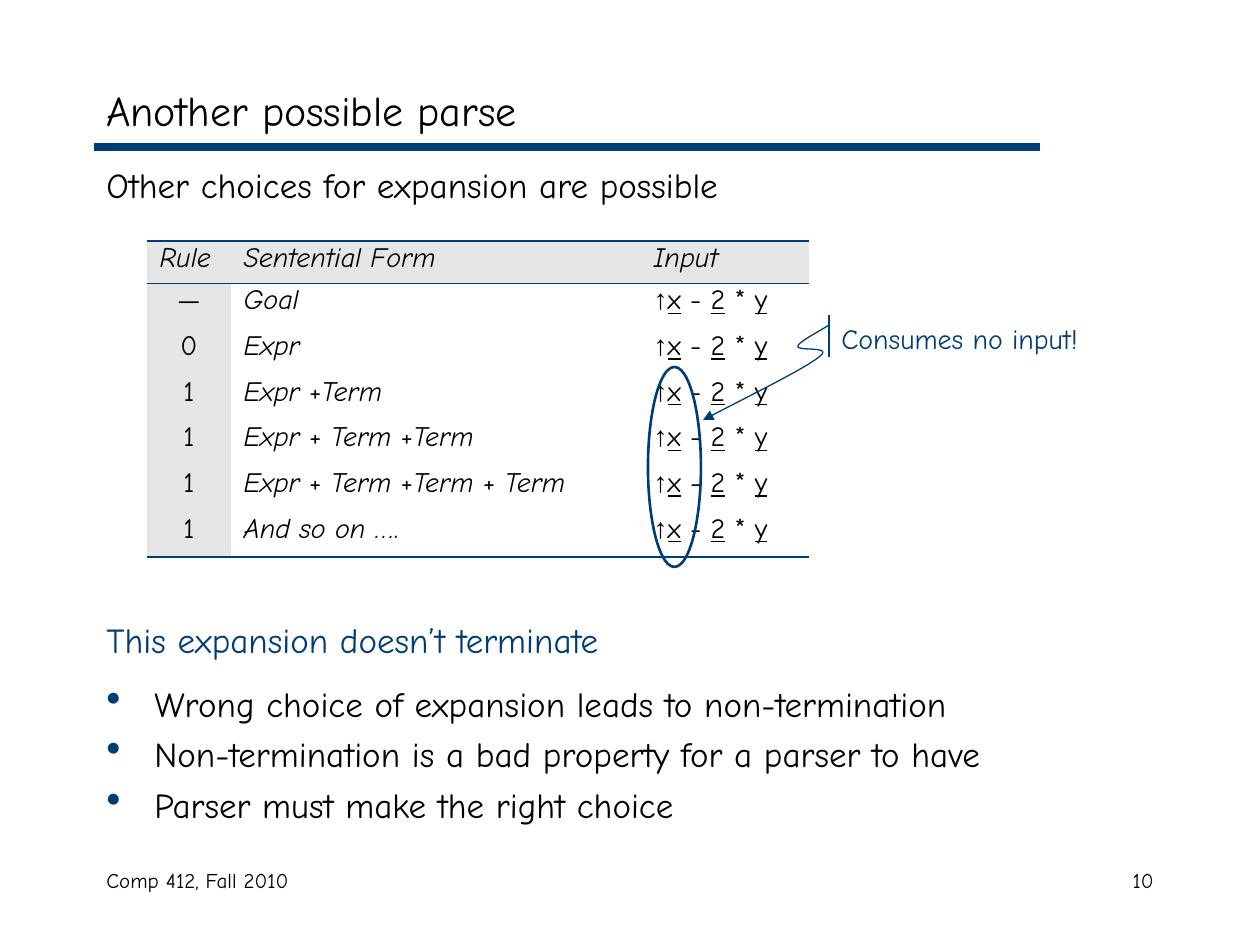
from dataclasses import dataclass
from itertools import cycle

from lxml import etree
from pptx import Presentation
from pptx.dml.color import RGBColor
from pptx.enum.shapes import MSO_CONNECTOR, MSO_SHAPE
from pptx.enum.text import MSO_ANCHOR, PP_ALIGN
from pptx.oxml.ns import qn
from pptx.util import Emu, Pt

LEFT, CENTER, RIGHT = PP_ALIGN.LEFT, PP_ALIGN.CENTER, PP_ALIGN.RIGHT
TOP, MIDDLE = MSO_ANCHOR.TOP, MSO_ANCHOR.MIDDLE
STRAIGHT, OVAL = MSO_CONNECTOR.STRAIGHT, MSO_SHAPE.OVAL
EMU_PER_PX = 914400 / 126
CURVE_STEPS = 16


@dataclass(frozen=True)
class Theme:
    font: str = "Comic Neue"
    symbol_font: str = "Arial"
    ink: str = "000000"
    accent: str = "003C75"
    shade: str = "E6E6E6"
    title: int = 24
    body: int = 20
    label: int = 16
    footer: int = 12


THEME = Theme()


def px(length):
    return Emu(round(length * EMU_PER_PX))


def add_child(parent, tag, **attributes):
    child = etree.SubElement(parent, qn(tag))
    for name, value in attributes.items():
        child.set(name, str(value))
    return child


def write(para, text, size=THEME.label, color=THEME.ink, font=THEME.font,
          italic=False, underline=False):
    span = para.add_run()
    span.text = text
    span.font.name = font
    span.font.size = Pt(size)
    span.font.color.rgb = RGBColor.from_string(color)
    span.font.italic = italic
    span.font.underline = underline


def write_alternating(para, parts, **formats):
    """Write parts, switching the named format on for every other one."""
    for part, active in zip(parts, cycle((True, False))):
        write(para, part, **{name: active for name in formats})


def add_bullet(para, hanging):
    properties = para._p.get_or_add_pPr()
    properties.set("marL", str(hanging))
    properties.set("indent", str(-hanging))
    color = add_child(properties, "a:buClr")
    add_child(color, "a:srgbClr", val=THEME.accent)
    add_child(properties, "a:buSzPct", val=120000)
    add_child(properties, "a:buChar", char="•")


def set_borders(cell, top, bottom):
    """Give the cell horizontal rules of the given point widths; 0 is none."""
    properties = cell._tc.get_or_add_tcPr()
    for side, width in (("L", 0), ("R", 0), ("T", top), ("B", bottom)):
        line = add_child(properties, f"a:ln{side}", w=Pt(width))
        if width:
            fill = add_child(line, "a:solidFill")
            add_child(fill, "a:srgbClr", val=THEME.accent)
        else:
            add_child(line, "a:noFill")


def curve_points(start, curves):
    """Sample a chain of cubic curves, each two controls and an end."""
    points = [start]
    for first, second, end in curves:
        for step in range(1, CURVE_STEPS + 1):
            t = step / CURVE_STEPS
            weights = ((1 - t) ** 3, 3 * t * (1 - t) ** 2, 3 * t * t * (1 - t), t ** 3)
            corners = (start, first, second, end)
            points.append(tuple(sum(w * c[axis] for w, c in zip(weights, corners))
                                for axis in (0, 1)))
        start = end
    return points


class SlideBuilder:
    def __init__(self, deck, theme):
        self.theme = theme
        self.slide = deck.slides.add_slide(deck.slide_layouts[6])

    def stroke(self, shape, width):
        shape.line.color.rgb = RGBColor.from_string(self.theme.accent)
        shape.line.width = Pt(width)

    def line(self, x1, y1, x2, y2, width):
        line = self.slide.shapes.add_connector(STRAIGHT, px(x1), px(y1), px(x2), px(y2))
        self.stroke(line, width)
        add_child(line._element.spPr, "a:effectLst")

    def ellipse(self, x, y, width, height, line_width):
        ellipse = self.slide.shapes.add_shape(OVAL, px(x), px(y), px(width), px(height))
        ellipse.shadow.inherit = False
        ellipse.fill.background()
        self.stroke(ellipse, line_width)

    def curved_arrow(self, start, curves, width):
        points = [(px(x), px(y)) for x, y in curve_points(start, curves)]
        outline = self.slide.shapes.build_freeform(*points[0])
        outline.add_line_segments(points[1:], close=False)
        arrow = outline.convert_to_shape()
        arrow.shadow.inherit = False
        arrow.fill.background()
        self.stroke(arrow, width)
        add_child(arrow._element.spPr.find(qn("a:ln")), "a:tailEnd", type="triangle")

    def frame(self, x, y, width, height, anchor=TOP):
        box = self.slide.shapes.add_textbox(px(x), px(y), px(width), px(height))
        box.text_frame.word_wrap = True
        box.text_frame.vertical_anchor = anchor
        return box.text_frame

    def text(self, x, y, width, height, text, anchor=TOP, align=LEFT, **formats):
        para = self.frame(x, y, width, height, anchor).paragraphs[0]
        para.alignment = align
        write(para, text, **formats)

    def body(self, x, y, width, height, entries):
        """Write entries of text, space before, colour and bullet flag."""
        frame = self.frame(x, y, width, height)
        for index, (text, space, color, bulleted) in enumerate(entries):
            para = frame.add_paragraph() if index else frame.paragraphs[0]
            if bulleted:
                add_bullet(para, px(48))
            para.space_before = Pt(space)
            write(para, text, size=self.theme.body, color=color)

    def table(self, x, y, widths, heights):
        """Add a ruled table with a shaded first row and first column."""
        table = self.slide.shapes.add_table(
            len(heights), len(widths), px(x), px(y), px(sum(widths)), px(sum(heights))).table
        table.first_row = table.horz_banding = False
        for column, width in zip(table.columns, widths):
            column.width = px(width)
        last = len(heights) - 1
        for index, height in enumerate(heights):
            table.rows[index].height = px(height)
            for column in range(len(widths)):
                cell = table.cell(index, column)
                set_borders(cell, {0: 1.08, 1: 0.45}.get(index, 0),
                            {0: 0.45, last: 1.08}.get(index, 0))
                if index == 0 or column == 0:
                    cell.fill.solid()
                    cell.fill.fore_color.rgb = RGBColor.from_string(self.theme.shade)
                else:
                    cell.fill.background()
                cell.text_frame.paragraphs[0].line_spacing = 0.8
        return table

    def parse_table(self, x, y, widths, header_height, row_height, header, steps):
        heights = [header_height] + [row_height] * len(steps)
        table = self.table(x, y, widths, heights)
        for column, text in enumerate(header):
            write(table.cell(0, column).text_frame.paragraphs[0], text, italic=True)
        for index, (rule, form) in enumerate(steps, 1):
            rule_para, form_para, input_para = (
                table.cell(index, column).text_frame.paragraphs[0] for column in range(3))
            rule_para.alignment = CENTER
            write(rule_para, rule)
            write_alternating(form_para, form, italic=True)
            write(input_para, "↑", font=self.theme.symbol_font)
            write_alternating(input_para, ("x", " - ", "2", " * ", "y"), underline=True)


def main():
    deck = Presentation()
    deck.slide_width, deck.slide_height = px(1260), px(945)
    page = SlideBuilder(deck, THEME)

    page.line(94, 147, 1040, 147, 4.5)
    page.text(94, 861, 400, 63, "Comp 412, Fall 2010", size=THEME.footer)
    page.text(904, 861, 262, 63, "10", align=RIGHT, size=THEME.footer)
    page.body(94, 157, 1071, 683, (
        ("Other choices for expansion are possible", 0, THEME.ink, False),
        ("This expansion doesn’t terminate", 236, THEME.accent, False),
        ("Wrong choice of expansion leads to non-termination", 12.5, THEME.ink, True),
        ("Non-termination is a bad property for a parser to have", 5, THEME.ink, True),
        ("Parser must make the right choice", 5, THEME.ink, True),
    ))
    page.text(94, 73, 1071, 73, "Another possible parse", anchor=MIDDLE, size=THEME.title)

    page.parse_table(147, 241, (84, 410, 168), 42, 45.7, ("Rule", "Sentential Form", "Input"), (
        ("—", ("Goal",)),
        ("0", ("Expr",)),
        ("1", ("Expr", " +", "Term")),
        ("1", ("Expr", " + ", "Term ", "+", "Term")),
        ("1", ("Expr", " + ", "Term ", "+", "Term", " + ", "Term")),
        ("1", ("And so on ….",)),
    ))

    page.ellipse(648, 367, 53, 200, 1.5)
    page.text(829, 315, 315, 47, "Consumes no input!", color=THEME.accent)
    page.line(829, 315, 829, 357, 1.5)
    page.curved_arrow((829, 325), (
        ((815, 334), (800, 341), (798, 346)),
        ((796, 352), (835, 345), (819, 357)),
        ((804, 369), (753, 394), (703, 420)),
    ), 0.75)

    deck.save("out.pptx")


if __name__ == "__main__":
    main()
